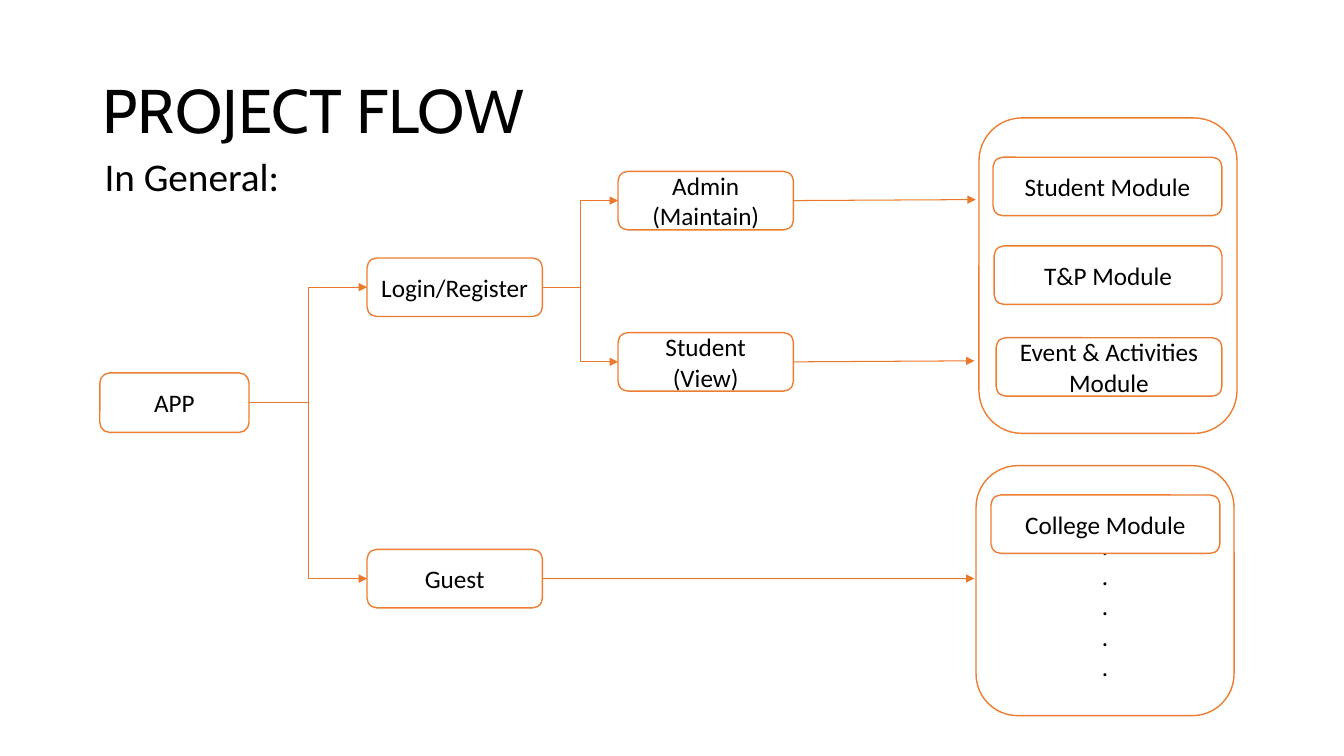
"""Builds the project flow slide, with lengths in percent of the slide's size."""
import pptx
import pptx.dml.color
import pptx.enum.shapes
import pptx.enum.text
import pptx.oxml
import pptx.oxml.ns
import pptx.util

deck = pptx.Presentation()
deck.slide_width = pptx.util.Inches(13.33)
deck.slide_height = pptx.util.Inches(7.5)
page = deck.slides.add_slide(deck.slide_layouts[6])
across = deck.slide_width / 100
down = deck.slide_height / 100
namespace = pptx.oxml.ns.nsdecls("a")


def colour(value):
    return pptx.dml.color.RGBColor.from_string(value)


def write(box, text, font, size, align, anchor, spacing):
    frame = box.text_frame
    frame.word_wrap = True
    frame.vertical_anchor = anchor
    frame.text = text
    for para in frame.paragraphs:
        para.alignment = align
        para.line_spacing = spacing
        for span in para.runs:
            span.font.name = font
            span.font.size = pptx.util.Pt(size)
            span.font.color.rgb = colour("000000")


left_align = pptx.enum.text.PP_ALIGN.LEFT
centre_align = pptx.enum.text.PP_ALIGN.CENTER
middle = pptx.enum.text.MSO_ANCHOR.MIDDLE
top_anchor = pptx.enum.text.MSO_ANCHOR.TOP

headings = [
    ("PROJECT FLOW", "Cabin", 44, 6.9, 5.33, 19.33, middle),
    ("In General:", "Calibri", 28, 7.04, 20.13, 8, top_anchor),
]
for text, font, size, left, top, height, anchor in headings:
    box = page.shapes.add_textbox(
        int(left * across), int(top * down), int(86 * across), int(height * down))
    write(box, text, font, size, left_align, anchor, 0.9)

step_width, step_height = 13.05, 7.73
login_column, role_column = 27.31, 45.99
dots = "\n".join("." * 5)
steps = [
    ("app", "APP", 7.43, 49.33, 11.1, 7.87),
    ("login", "Login/Register", login_column, 34.13, step_width, step_height),
    ("guest", "Guest", login_column, 72.67, step_width, step_height),
    ("admin", "Admin\n(Maintain)", role_column, 22.67, step_width, step_height),
    ("student", "Student\n(View)", role_column, 44, step_width, step_height),
    ("member modules", "", 72.84, 15.6, 19.2, 41.73),
    ("student module", "Student Module", 73.89, 20.8, 17.03, step_height),
    ("placement module", "T&P Module", 73.97, 32.53, 16.95, step_height),
    ("event module", "Event & Activities Module", 74.12, 44.67, 16.8, step_height),
    ("guest modules", dots, 72.62, 61.6, 19.2, 33.07),
    ("college module", "College Module", 73.74, 65.47, 17.03, step_height),
]
boxes = {}
for name, text, left, top, width, height in steps:
    box = page.shapes.add_shape(
        pptx.enum.shapes.MSO_SHAPE.ROUNDED_RECTANGLE,
        int(left * across), int(top * down), int(width * across), int(height * down))
    box.shadow.inherit = False
    box.fill.solid()
    box.fill.fore_color.rgb = colour("FFFFFF")
    box.line.color.rgb = colour("ED7D31")
    box.line.width = pptx.util.Pt(1)
    if text:
        write(box, text, "Calibri", 18, centre_align, middle, 1)
    boxes[name] = box
boxes["guest modules"].text_frame.margin_top = int(4.67 * down)

elbow = pptx.enum.shapes.MSO_CONNECTOR.ELBOW
straight = pptx.enum.shapes.MSO_CONNECTOR.STRAIGHT
left_side, right_side = 1, 3
arrows = [
    (elbow, "app", "login", None),
    (elbow, "login", "admin", None),
    (elbow, "login", "student", None),
    (elbow, "app", "guest", None),
    (straight, "admin", None, (72.6, 26.4)),
    (straight, "student", None, (72.5, 47.73)),
    (straight, "guest", None, (72.5, 76.53)),
]
for kind, source, target, point in arrows:
    start = boxes[source]
    if target:
        finish = boxes[target]
        end_x, end_y = finish.left, finish.top + finish.height // 2
    else:
        end_x, end_y = int(point[0] * across), int(point[1] * down)
    arrow = page.shapes.add_connector(
        kind, start.left + start.width, start.top + start.height // 2, end_x, end_y)
    arrow.begin_connect(start, right_side)
    if target:
        arrow.end_connect(finish, left_side)
    arrow.line.color.rgb = colour("EC792B")
    arrow.line.width = pptx.util.Pt(0.75)
    arrow.line._get_or_add_ln().append(
        pptx.oxml.parse_xml(f'<a:tailEnd {namespace} type="triangle"/>'))
    arrow._element.spPr.append(pptx.oxml.parse_xml(f"<a:effectLst {namespace}/>"))

deck.save("out.pptx")
